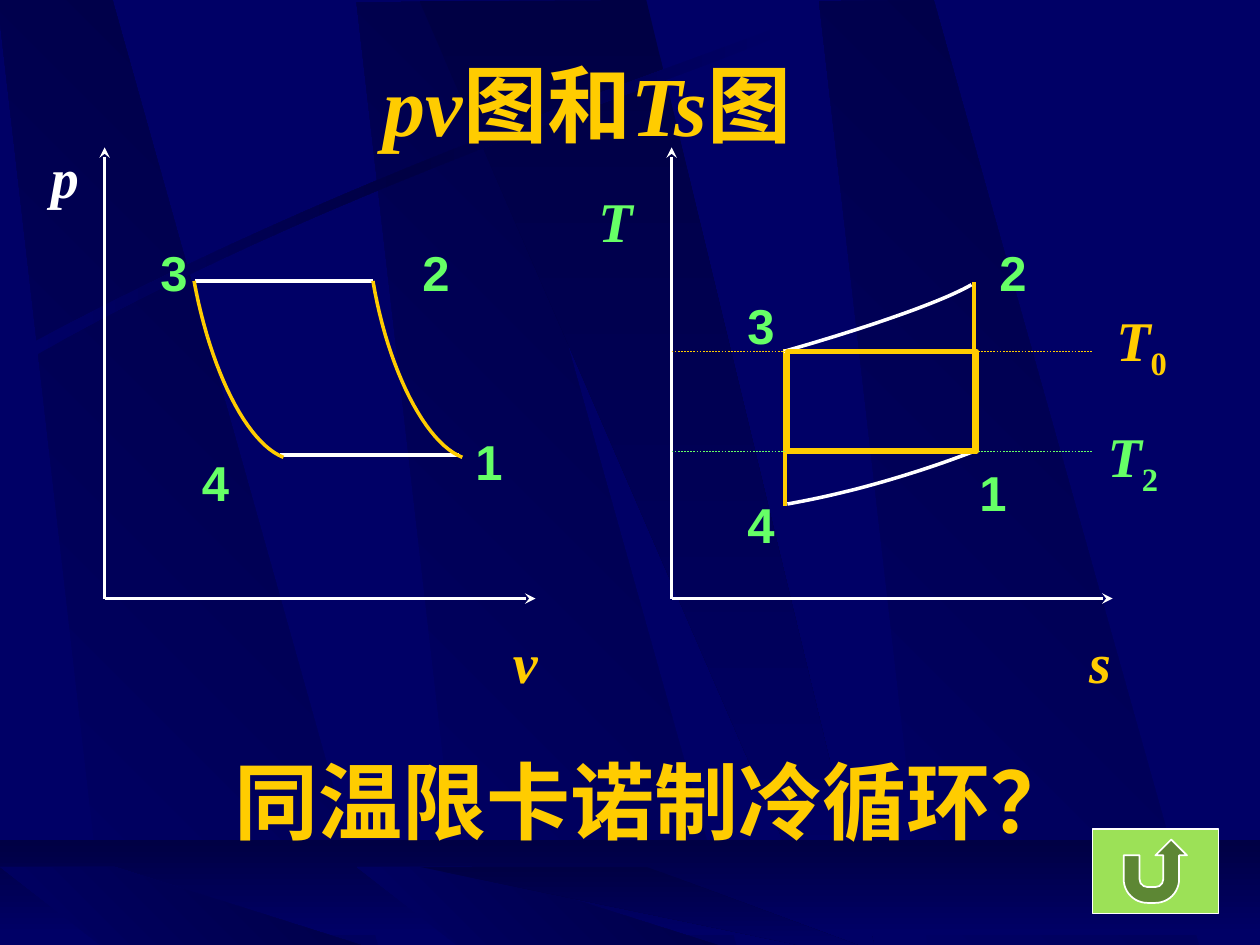
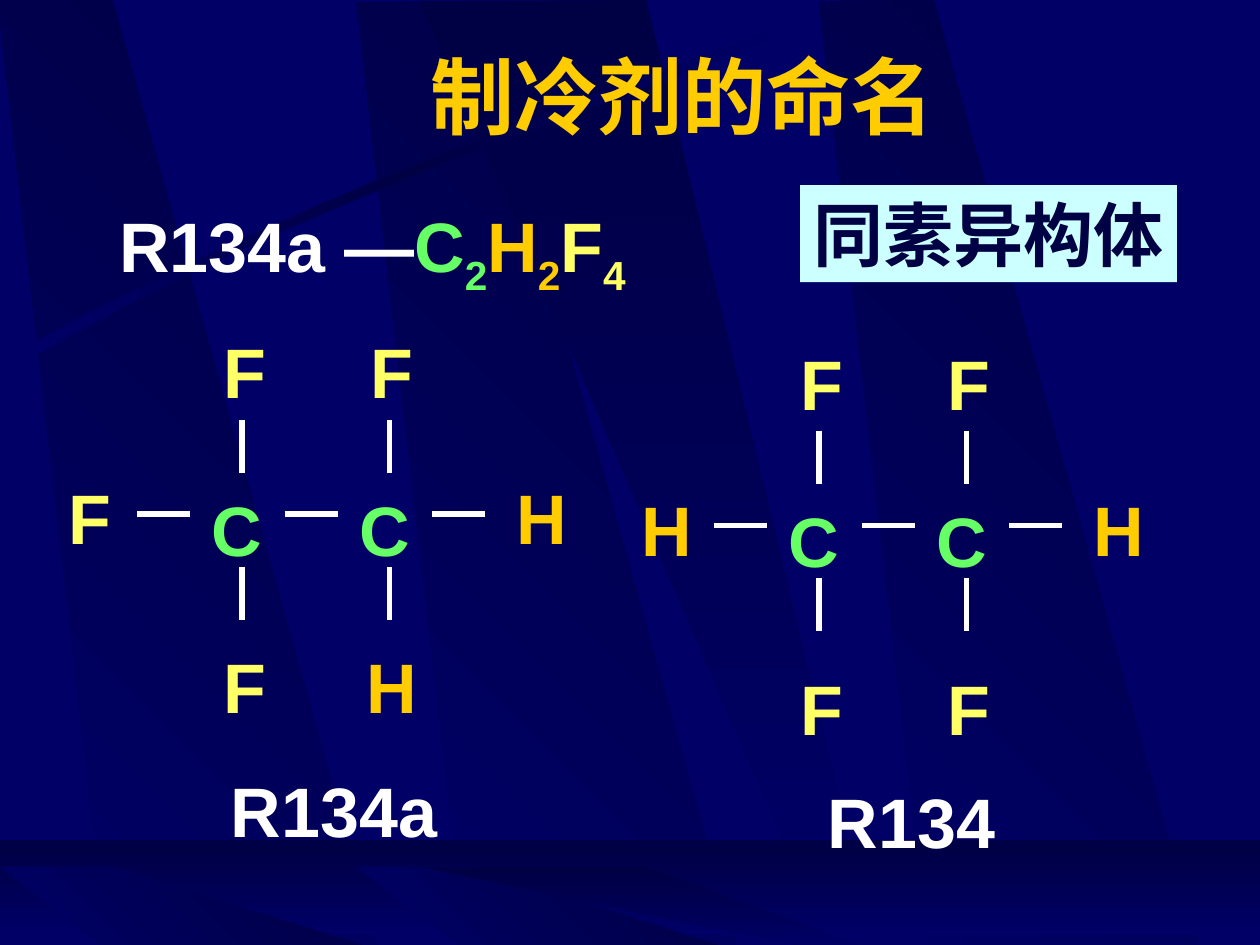
from lxml import etree
from pptx import Presentation
from pptx import util as u
from pptx.dml import color
from pptx.enum import dml, shapes, text
from pptx.oxml import ns

COLORS = {
    "navy": "000066", "night": "000044", "gold": "FFCC00", "white": "FFFFFF",
    "green": "66FF66", "yellow": "FFFF66", "ice": "CCFFFF", "lime": "9CE157",
}
SANS, SERIF, HAN = "Arial", "Times New Roman", "Montserrat"
HEIGHTS = {28: 0.57, 32: 0.63, 40: 0.77, 48: 0.9}

RISING = (("navy", "night"), 315)
FALLING = (("night", "navy"), 90)
STREAK_SHADE = (("navy", "night", "navy"), 0)
TALL_BAND = [(0, 0), (0.91, -0.01), (3.02, 7.51), (0.86, 7.49)]
FLOOR_BAND = [(0, 0), (0.91, 0), (3.02, 0.67), (0.86, 0.67)]
TALL_WEDGE = [(0, 0), (1.8, -0.01), (3.61, 7.5), (3.25, 7.5)]
FLOOR_WEDGE = [(0, 0), (1.8, 0), (3.61, 0.67), (3.25, 0.67)]
WALL = [
    (2.83, 0.02, TALL_BAND, RISING), (-0.02, 0, TALL_BAND, RISING),
    (6.5, 0.01, TALL_BAND, RISING), (3.33, 0.01, TALL_WEDGE, FALLING),
]
FLOOR = [
    (2.83, 6.88, FLOOR_BAND, RISING), (0, 6.88, FLOOR_BAND, RISING),
    (3.33, 6.88, FLOOR_WEDGE, FALLING),
]
STREAK = [
    [(0.2, 2.75), (2.84, 1.34), (5.24, 0.59), (6.26, 0.18)],
    [(6.29, 0.24), (5.28, 0.69), (2.54, 1.51), (0.23, 2.85)],
]

DIAGRAM_TITLE = [("pv", "gold", SERIF, "i"), ("图和", "gold", HAN, ""),
                 ("Ts", "gold", SERIF, "i"), ("图", "gold", HAN, "")]
QUESTION = [("同温限卡诺", "gold", SANS, ""), ("制冷循环？", "gold", HAN, "")]
AXES = [(0.83, 4.25), (5.33, 8.83)]
AXIS_TOP, AXIS_BASE = 1.17, 4.75
CYCLE_LINES = [
    ((1.55, 2.23), (2.96, 2.23), "white"), ((2.22, 3.61), (3.64, 3.61), "white"),
    ((6.23, 2.77), (6.23, 4.02), "gold"), ((7.73, 2.24), (7.73, 3.6), "gold"),
]
CYCLE_CURVES = [
    ([(2.25, 3.63), (1.96, 3.52), (1.67, 2.94), (1.54, 2.23)], "gold"),
    ([(3.67, 3.63), (3.38, 3.52), (3.08, 2.94), (2.96, 2.23)], "gold"),
    ([(6.22, 2.79), (6.89, 2.6), (7.49, 2.39), (7.71, 2.26)], "white"),
    ([(6.25, 4), (6.76, 3.91), (7.26, 3.76), (7.71, 3.59)], "white"),
]
ISOTHERMS = [(2.79, "gold"), (3.58, "green")]
STATES = [
    ("3", 1.17, 1.83), ("2", 3.25, 1.83), ("1", 3.67, 3.33), ("4", 1.5, 3.5),
    ("1", 7.67, 3.58), ("2", 7.83, 1.83), ("3", 5.83, 2.25), ("4", 5.83, 3.83),
]
QUANTITIES = [
    ("p", "", "white", 0.25, 1.03, 0.53), ("v", "", "gold", 3.97, 4.88, 0.4),
    ("T", "", "green", 4.65, 1.38, 0.47), ("s", "", "gold", 8.54, 4.88, 0.38),
    ("T", "2", "green", 8.68, 3.25, 0.62), ("T", "0", "gold", 8.75, 2.33, 0.62),
]

NAMING_TITLE = [("制冷剂的命名", "gold", HAN, "")]
FORMULA = [
    ("R134a —", "white", SANS, ""), ("C", "green", SANS, ""), ("2", "green", SANS, "s"),
    ("H", "gold", SANS, ""), ("2", "gold", SANS, "s"),
    ("F", "yellow", SANS, ""), ("4", "yellow", SANS, "s"),
]
ISOMER = [("同素异构体", "night", SANS, "")]
ATOM_COLORS = {"C": "green", "F": "yellow", "H": "gold"}
MOLECULES = [
    dict(x=6.5, y=4.17, top="FF", bottom="FF", left="H", right="H", drop=1.0),
    dict(x=1.92, y=4.08, top="FF", bottom="FH", left="F", right="H", drop=0.92),
]
MOLECULE_NAMES = [("R134", 6.47, 6.07, 1.53), ("R134a", 1.73, 5.98, 1.84)]
PITCH = 1.17


def cm(inches):
    return u.Cm(inches * 2.54)


def rgb(name):
    return color.RGBColor.from_string(COLORS[name])


def write(frame, runs, size):
    frame.word_wrap = False
    line = frame.paragraphs[0]
    line.alignment = text.PP_ALIGN.CENTER
    for words, ink, face, style in runs:
        run = line.add_run()
        run.text = words
        font = run.font
        font.size, font.bold, font.italic = u.Pt(size), True, style == "i"
        font.color.rgb = rgb(ink)
        font.name = face
        props = run.font._element
        props.find(ns.qn("a:latin")).addnext(
            props.makeelement(ns.qn("a:ea"), {"typeface": face}))
        if style == "s":
            props.set("baseline", "-25000")


def label(parent, runs, size, left, top, width):
    box = parent.add_textbox(cm(left), cm(top), cm(width), cm(HEIGHTS[size]))
    write(box.text_frame, runs, size)
    box.text_frame.margin_top = cm(0.05 + 0.0015 * size)
    box.text_frame.auto_size = text.MSO_AUTO_SIZE.SHAPE_TO_FIT_TEXT


def title(slide, runs, left, top, width):
    box = slide.shapes.add_textbox(cm(left), cm(top), cm(width), cm(HEIGHTS[48]))
    write(box.text_frame, runs, 48)
    box.text_frame.word_wrap = True
    box.text_frame.vertical_anchor = text.MSO_ANCHOR.MIDDLE
    box.text_frame.auto_size = text.MSO_AUTO_SIZE.SHAPE_TO_FIT_TEXT


def straight(parent, start, end, ink, width, dashed=False, arrow=False):
    stroke = parent.add_connector(
        shapes.MSO_CONNECTOR.STRAIGHT, *(cm(value) for value in start + end))
    stroke.line.color.rgb = rgb(ink)
    stroke.line.width = u.Pt(width)
    if dashed:
        stroke.line.dash_style = dml.MSO_LINE.DASH
    if arrow:
        outline = stroke.element.spPr.find(ns.qn("a:ln"))
        etree.SubElement(outline, ns.qn("a:tailEnd"), type="stealth")
    etree.SubElement(stroke.element.spPr, ns.qn("a:effectLst"))


def bezier(points, steps=24):
    def at(t):
        weights = ((1 - t) ** 3, 3 * t * (1 - t) ** 2, 3 * t * t * (1 - t), t ** 3)
        return tuple(sum(w * p[axis] for w, p in zip(weights, points)) for axis in (0, 1))
    return [at(step / steps) for step in range(steps + 1)]


def outline(parent, points, close):
    corners = [(cm(x), cm(y)) for x, y in points]
    builder = parent.build_freeform(*corners[0])
    builder.add_line_segments(corners[1:], close=close)
    drawn = builder.convert_to_shape()
    drawn.shadow.inherit = False
    return drawn


def preset(parent, kind, left, top, width, height):
    drawn = parent.add_shape(kind, cm(left), cm(top), cm(width), cm(height))
    drawn.shadow.inherit = False
    return drawn


def shade(drawn, inks, angle):
    drawn.line.fill.background()
    drawn.fill.gradient()
    drawn.fill.gradient_angle = (360 - angle) % 360
    stops = drawn.element.spPr.find(".//" + ns.qn("a:gsLst"))
    stops.clear()
    for index, ink in enumerate(inks):
        stop = etree.SubElement(
            stops, ns.qn("a:gs"), pos=str(index * 100000 // (len(inks) - 1)))
        etree.SubElement(stop, ns.qn("a:srgbClr"), val=COLORS[ink])


def decorate(master, slide):
    master.background.fill.solid()
    master.background.fill.fore_color.rgb = rgb("navy")
    parent = slide.shapes

    def settle(drawn, shading):
        shade(drawn, *shading)
        master.shapes.element.append(drawn.element)

    def panels(rows):
        for left, top, corners, shading in rows:
            points = [(left + x, top + y) for x, y in corners]
            settle(outline(parent, points, True), shading)

    panels(WALL)
    settle(outline(parent, bezier(STREAK[0]) + bezier(STREAK[1]), True), STREAK_SHADE)
    settle(preset(parent, shapes.MSO_SHAPE.RECTANGLE, 0, 6.67, 10, 0.75), FALLING)
    panels(FLOOR)


def draw_diagrams(slide):
    parent = slide.shapes
    title(slide, DIAGRAM_TITLE, 1.58, 0.37, 6.17)
    for left, right in AXES:
        for tip in ((left, AXIS_TOP), (right, AXIS_BASE)):
            straight(parent, (left, AXIS_BASE), tip, "white", 2, arrow=True)
    for start, end, ink in CYCLE_LINES:
        straight(parent, start, end, ink, 2)
    for points, ink in CYCLE_CURVES:
        curve = outline(parent, bezier(points), False)
        curve.fill.background()
        curve.line.color.rgb = rgb(ink)
        curve.line.width = u.Pt(2)
    for level, ink in ISOTHERMS:
        straight(parent, (5.33, level), (8.67, level), ink, 0.25, dashed=True)
    for state, left, top in STATES:
        label(parent, [(state, "green", SANS, "")], 28, left, top, 0.42)
    for symbol, index, ink, left, top, width in QUANTITIES:
        runs = [(symbol, ink, SERIF, "i")]
        if index:
            runs.append((index, ink, SERIF, "s"))
        label(parent, runs, 32, left, top, width)

    back = preset(parent, shapes.MSO_SHAPE.ACTION_BUTTON_RETURN, 8.67, 6.58, 1, 0.67)
    back.fill.solid()
    back.fill.fore_color.rgb = rgb("lime")
    back.line.color.rgb = rgb("white")
    back.line.width = u.Pt(1)
    carnot = preset(parent, shapes.MSO_SHAPE.RECTANGLE, 6.25, 2.79, 1.5, 0.79)
    carnot.fill.background()
    carnot.line.color.rgb = rgb("gold")
    carnot.line.width = u.Pt(3)
    label(parent, QUESTION, 48, 1.76, 5.83, 6.87)


def draw_molecule(slide, molecule):
    parent = slide.shapes.add_group_shape().shapes
    x, y = molecule["x"], molecule["y"]

    def atom(symbol, center, top):
        width = 0.54 if symbol == "F" else 0.6
        label(parent, [(symbol, ATOM_COLORS[symbol], SANS, "")], 40,
              center - width / 2, top, width)

    for column, (upper, lower) in enumerate(zip(molecule["top"], molecule["bottom"])):
        carbon = x + column * PITCH
        atom("C", carbon - 0.04, y - 0.33)
        atom(upper, carbon + 0.02, y - 1.58)
        atom(lower, carbon + 0.02, y + molecule["drop"])
        for start in (y - 0.75, y + 0.42):
            straight(parent, (carbon, start), (carbon, start + 0.42), "white", 3)
    for bond in range(3):
        start = x - 0.83 + bond * PITCH
        straight(parent, (start, y), (start + 0.42, y), "white", 3)
    atom(molecule["left"], x - 1.21, y - 0.42)
    atom(molecule["right"], x + 2.38, y - 0.42)


def draw_naming(slide):
    title(slide, NAMING_TITLE, 1.58, 0.3, 7.67)
    label(slide.shapes, FORMULA, 40, 0.8, 1.5, 4.31)
    for molecule in MOLECULES:
        draw_molecule(slide, molecule)
    for name, left, top, width in MOLECULE_NAMES:
        label(slide.shapes, [(name, "white", SANS, "")], 40, left, top, width)
    isomer = preset(slide.shapes, shapes.MSO_SHAPE.RECTANGLE, 6.35, 1.47, 2.99, 0.77)
    isomer.fill.solid()
    isomer.fill.fore_color.rgb = rgb("ice")
    isomer.line.fill.background()
    write(isomer.text_frame, ISOMER, 40)


def main():
    deck = Presentation()
    deck.slide_width, deck.slide_height = cm(10), cm(7.5)
    blank = deck.slide_layouts[6]
    diagrams, naming = (deck.slides.add_slide(blank) for _ in range(2))
    decorate(deck.slide_master, diagrams)
    draw_diagrams(diagrams)
    draw_naming(naming)
    deck.save("out.pptx")


if __name__ == "__main__":
    main()
